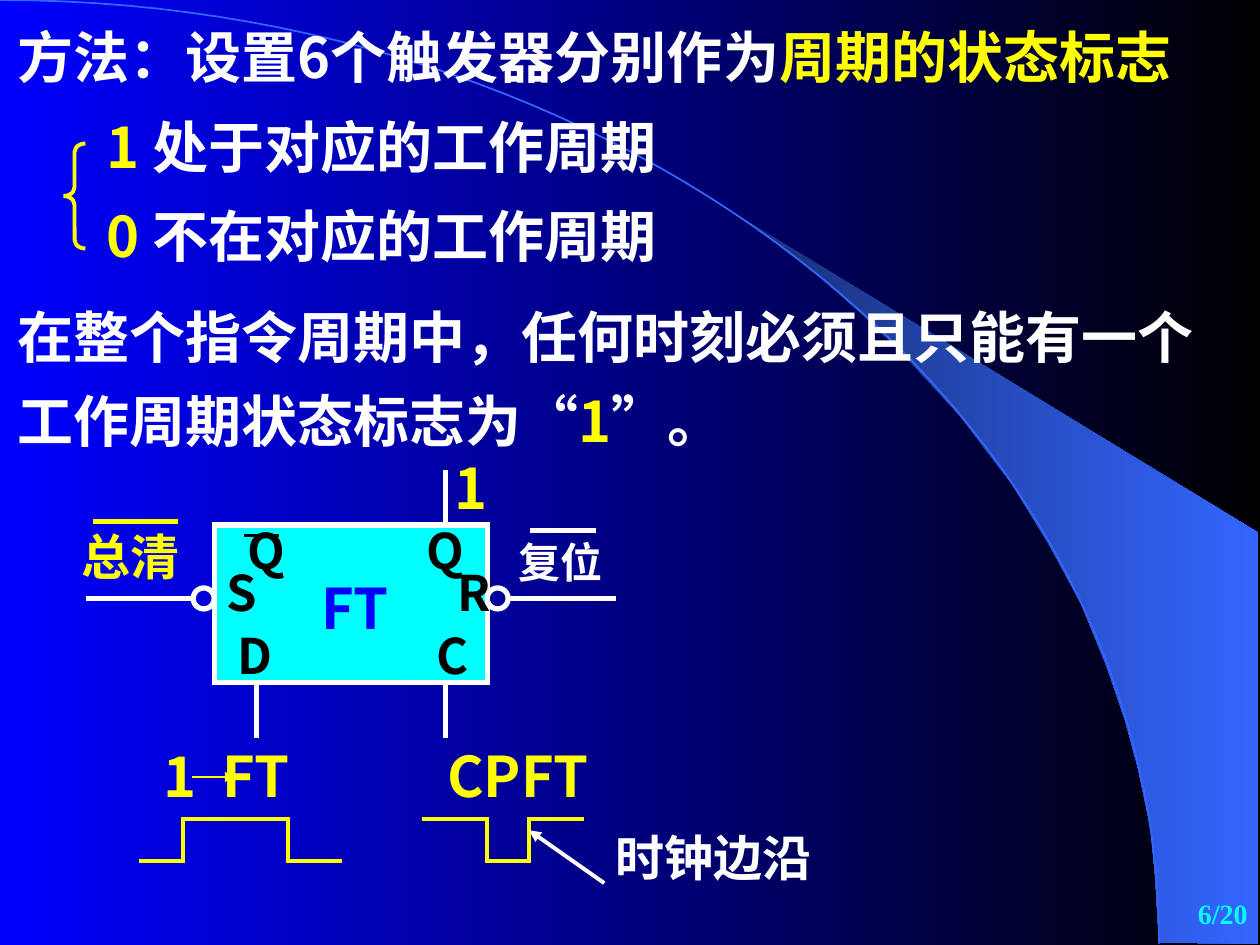
from itertools import pairwise

from lxml import etree
from pptx import Presentation
from pptx.dml.color import RGBColor
from pptx.enum import shapes, text
from pptx.oxml import ns
from pptx.util import Pt

WHITE = RGBColor(0xFF, 0xFF, 0xFF)
BLACK = RGBColor(0, 0, 0)
YELLOW = RGBColor(0xFF, 0xFF, 0)
CYAN = RGBColor(0, 0xFF, 0xFF)
BLUE = RGBColor(0, 0, 0xFF)
SKY = RGBColor(0x33, 0x66, 0xFF)
NAVY = RGBColor(0x18, 0x2F, 0x76)
SANS, SERIF = "Noto Sans CJK SC", "Times New Roman"
LEFT, MID, RIGHT = text.PP_ALIGN.LEFT, text.PP_ALIGN.CENTER, text.PP_ALIGN.RIGHT


class Board:
    """Holds the current slide and the style of its elements."""

    def __init__(self, slide):
        self.slide = slide
        self.items = slide.shapes

    def blend(self, fill, first, last):
        fill.gradient()
        fill.gradient_angle = 0
        for stop, color, spot in zip(fill.gradient_stops, (first, last), (0, 1)):
            stop.color.rgb = color
            stop.position = spot

    def paint(self, item, fill, line, width):
        item.shadow.inherit = False
        if fill:
            item.fill.solid()
            item.fill.fore_color.rgb = fill
        else:
            item.fill.background()
        if line:
            item.line.color.rgb = line
            item.line.width = Pt(width)
            edge = item.line._get_or_add_ln()
            etree.SubElement(edge, ns.qn("a:miter"), lim="800000")
        else:
            item.line.fill.background()

    def shape(self, kind, x, y, w, h, fill=None, line=WHITE, width=3):
        item = self.items.add_shape(kind, Pt(x), Pt(y), Pt(w), Pt(h))
        self.paint(item, fill, line, width)
        return item

    def outline(self, points, close, line=None, width=1):
        # Path units are hundredths of a point, as they must be whole
        fine = [(x * 100, y * 100) for x, y in points]
        pen = self.items.build_freeform(*fine[0], scale=Pt(1) / 100)
        pen.add_line_segments(fine[1:], close=close)
        item = pen.convert_to_shape()
        self.paint(item, None, line, width)
        return item

    def line(self, start, end, color=WHITE, width=3, arrow=False):
        item = self.items.add_connector(
            shapes.MSO_CONNECTOR.STRAIGHT, *map(Pt, start + end))
        item.line.color.rgb = color
        item.line.width = Pt(width)
        edge = item.line._get_or_add_ln()
        edge.set("cap", "sq")
        if arrow:
            etree.SubElement(edge, ns.qn("a:tailEnd"), type="triangle")
        etree.SubElement(item._element.spPr, ns.qn("a:effectLst"))

    def wave(self, points):
        for start, end in pairwise(points):
            self.line(start, end, YELLOW, 2.25)

    def text(self, x, y, w, h, parts, size=32, color=WHITE, font=SANS,
             align=LEFT, space=None, grow=True, tab=None):
        """Parts are one string, or (words, color, font) runs."""
        box = self.items.add_textbox(Pt(x), Pt(y), Pt(w), Pt(h))
        frame = box.text_frame
        frame.word_wrap = True
        if grow:
            frame.auto_size = text.MSO_AUTO_SIZE.SHAPE_TO_FIT_TEXT
        else:
            frame.vertical_anchor = text.MSO_ANCHOR.MIDDLE
        para = frame.paragraphs[0]
        para.alignment = align
        if space:
            para.line_spacing = space
        if tab:
            stops = etree.SubElement(para._p.get_or_add_pPr(), ns.qn("a:tabLst"))
            etree.SubElement(stops, ns.qn("a:tab"), pos=str(Pt(tab)), algn="l")
        para.font.size = Pt(size)
        para.font.bold = True
        if isinstance(parts, str):
            para.add_run().text = parts
            para.font.name = font
            para.font.color.rgb = color
        else:
            for words, shade, face in parts:
                run = para.add_run()
                run.text = words
                run.font.name = face
                run.font.color.rgb = shade
        # Chinese letters are always sans
        for latin in list(para._p.iter(ns.qn("a:latin"))):
            latin.addnext(etree.Element(ns.qn("a:ea"), typeface=SANS))


def bend(a, b, c, d, steps=60):
    """Points along a cubic curve."""
    spots = [n / steps for n in range(steps + 1)]
    return [tuple((1 - t) ** 3 * p + 3 * t * (1 - t) ** 2 * q
                  + 3 * t * t * (1 - t) * r + t ** 3 * s
                  for p, q, r, s in zip(a, b, c, d)) for t in spots]


def main():
    deck = Presentation()
    deck.slide_width, deck.slide_height = Pt(720), Pt(540)
    board = Board(deck.slides.add_slide(deck.slide_layouts[6]))

    # Backdrop
    board.blend(board.slide.background.fill, BLUE, BLACK)
    swoosh = board.outline([
        (662.4, 538.6), (719.3, 539.3), (719.3, 304.6), (424.1, 124.6),
        (449.3, 143.3), (470.2, 159.8), (493.2, 180), (515.5, 201.6),
        (548.6, 237.6), (578.2, 276.5), (599, 310.3), (617.8, 344.9),
        (632.2, 380.2), (643, 411.8), (650.2, 438.5), (657.4, 472.3),
        (660.2, 501.1)], True)
    board.blend(swoosh.fill, NAVY, SKY)
    board.outline(bend((0, 0), (365.8, 0), (662.4, 241.2), (662.4, 539.3)),
                  False, SKY)

    # Method and rule
    board.text(2.9, 9.4, 720, 46, [
        ("方法：设置6个触发器分别作为", WHITE, SANS),
        ("周期的状态标志", YELLOW, SANS)])
    brace = board.shape(shapes.MSO_SHAPE.LEFT_BRACE, 36.4, 82, 12.4, 60,
                        line=YELLOW, width=2.25)
    brace.adjustments[0] = 0.4
    for top, bit, note in ((60.5, "1 ", "处于对应的工作周期"),
                           (111.6, "0 ", "不在对应的工作周期")):
        board.text(54, top, 480, 46, [(bit, YELLOW, SANS), (note, WHITE, SANS)])
    board.text(2.9, 160, 717, 104, [
        ("在整个指令周期中，任何时刻必须且只能有一个工作周期状态标志为", WHITE, SANS),
        ("“", WHITE, SERIF), ("1", YELLOW, SANS),
        ("”", WHITE, SERIF), ("。", WHITE, SANS)], space=1.25)

    # Flip-flop
    board.shape(shapes.MSO_SHAPE.RECTANGLE, 122.4, 300, 156, 90, CYAN)
    board.text(176.4, 324, 84, 46, "FT", color=BLUE)
    for x, y, name in ((122.4, 318, "S"), (254.4, 318, "R"), (128.4, 354, "D"),
                       (242.4, 354, "C"), (236.4, 294, "Q"), (134.4, 294, "Q")):
        board.text(x, y, 72, 41, name, 28, BLACK)
    board.line((140.4, 306), (158.4, 306), BLACK, 1.5)

    # Pins
    for start, end in (((254.4, 270), (254.4, 300)), ((146.4, 390), (146.4, 420)),
                       ((254.4, 390), (254.4, 420)), ((290.4, 342), (350.4, 342)),
                       ((50.4, 342), (110.4, 342))):
        board.line(start, end)
    for x in (110.4, 278.4):
        board.shape(shapes.MSO_SHAPE.OVAL, x, 336, 12, 12)

    # Pin labels
    board.text(39.6, 297.4, 73.4, 41, "总清", 28, YELLOW, SERIF)
    board.line((54.7, 298.2), (100.1, 298.2), YELLOW)
    board.text(289.4, 303.1, 66, 36, "复位", 24, font=SERIF)
    board.line((304.6, 303.1), (339.1, 303.1))
    board.text(249.1, 255.6, 39.6, 46, "1", color=YELLOW, align=MID)

    # Pulses
    low, high = 492, 468
    board.text(86.4, 420.4, 120, 46, "1\tFT", color=YELLOW, tab=33.5)
    board.line((110.4, 444), (134.4, 444), YELLOW, 1, arrow=True)
    board.wave([(80.4, low), (104.4, low), (104.4, high), (164.4, high),
                (164.4, low), (194.4, low)])
    board.text(248.4, 420.4, 120, 46, "CPFT", color=YELLOW)
    board.wave([(242.4, high), (278.4, high), (278.4, low), (302.4, low),
                (302.4, high), (332.4, high)])
    board.line((344.4, 504), (302.4, 474.5), width=2.25, arrow=True)
    board.text(339.8, 469.4, 136, 41, "时钟边沿", 28, font=SERIF, align=MID)

    # Page number
    board.text(570.2, 504, 149.8, 36, "6/20", 16, CYAN, SERIF, RIGHT, grow=False)

    deck.save("out.pptx")


if __name__ == "__main__":
    main()
